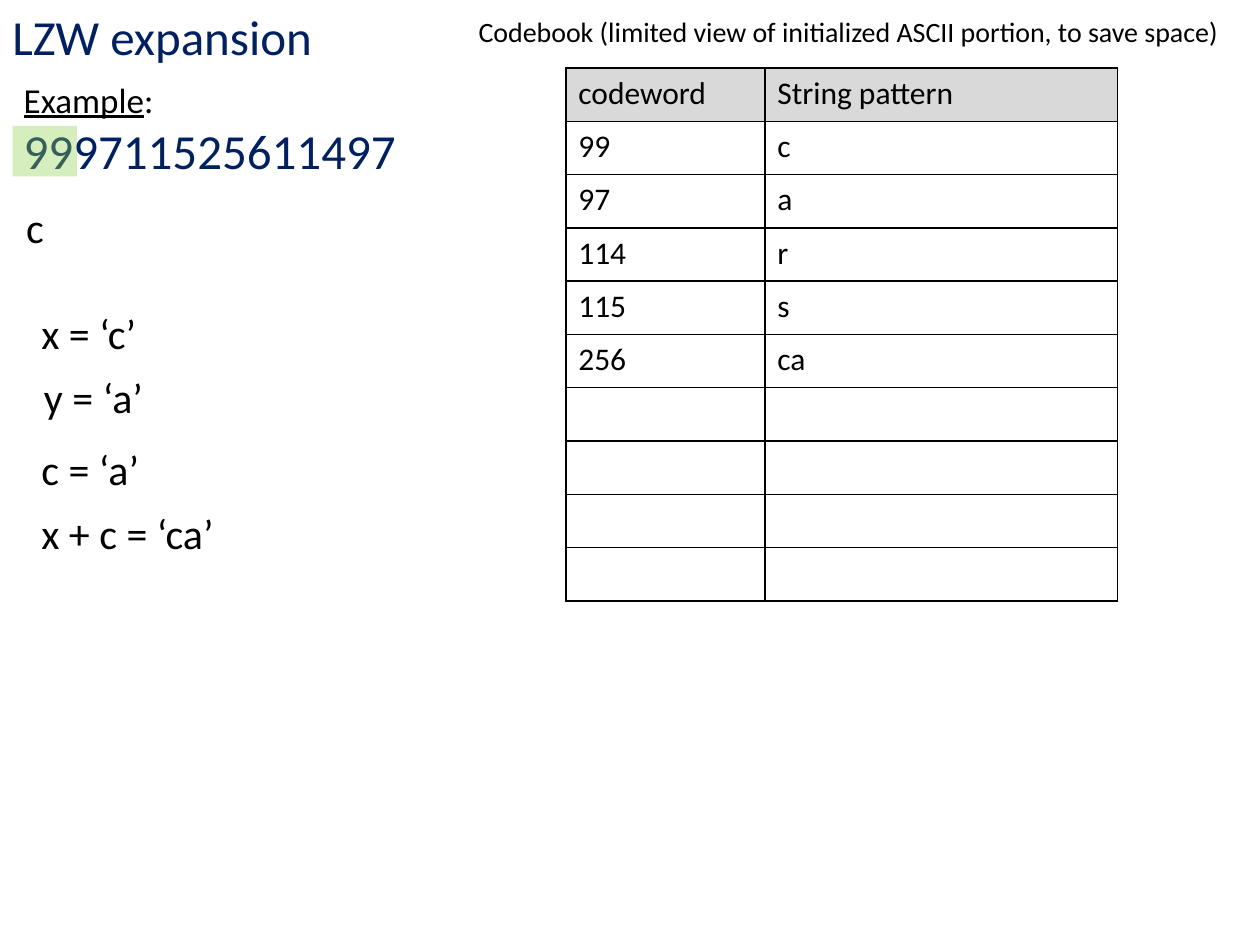
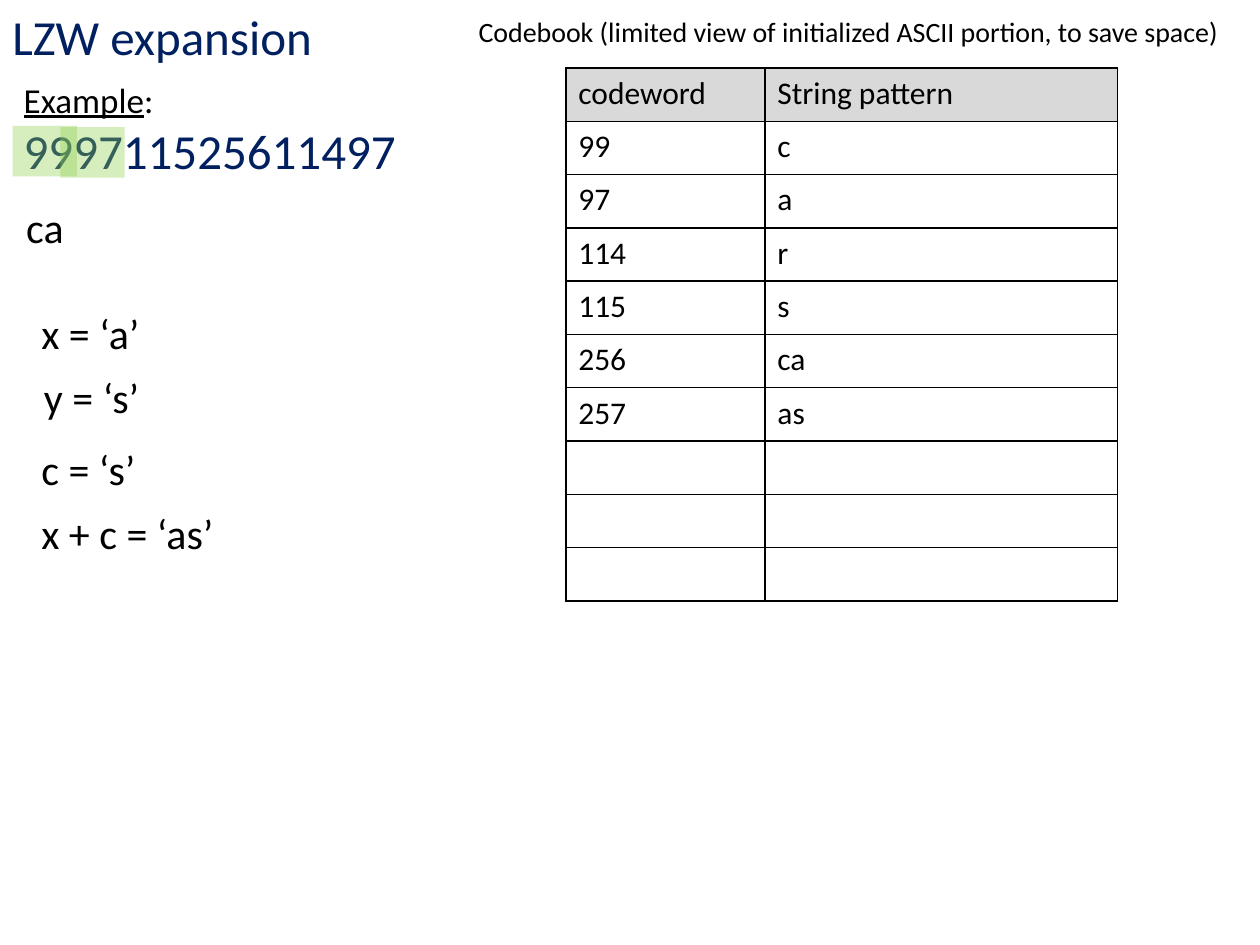
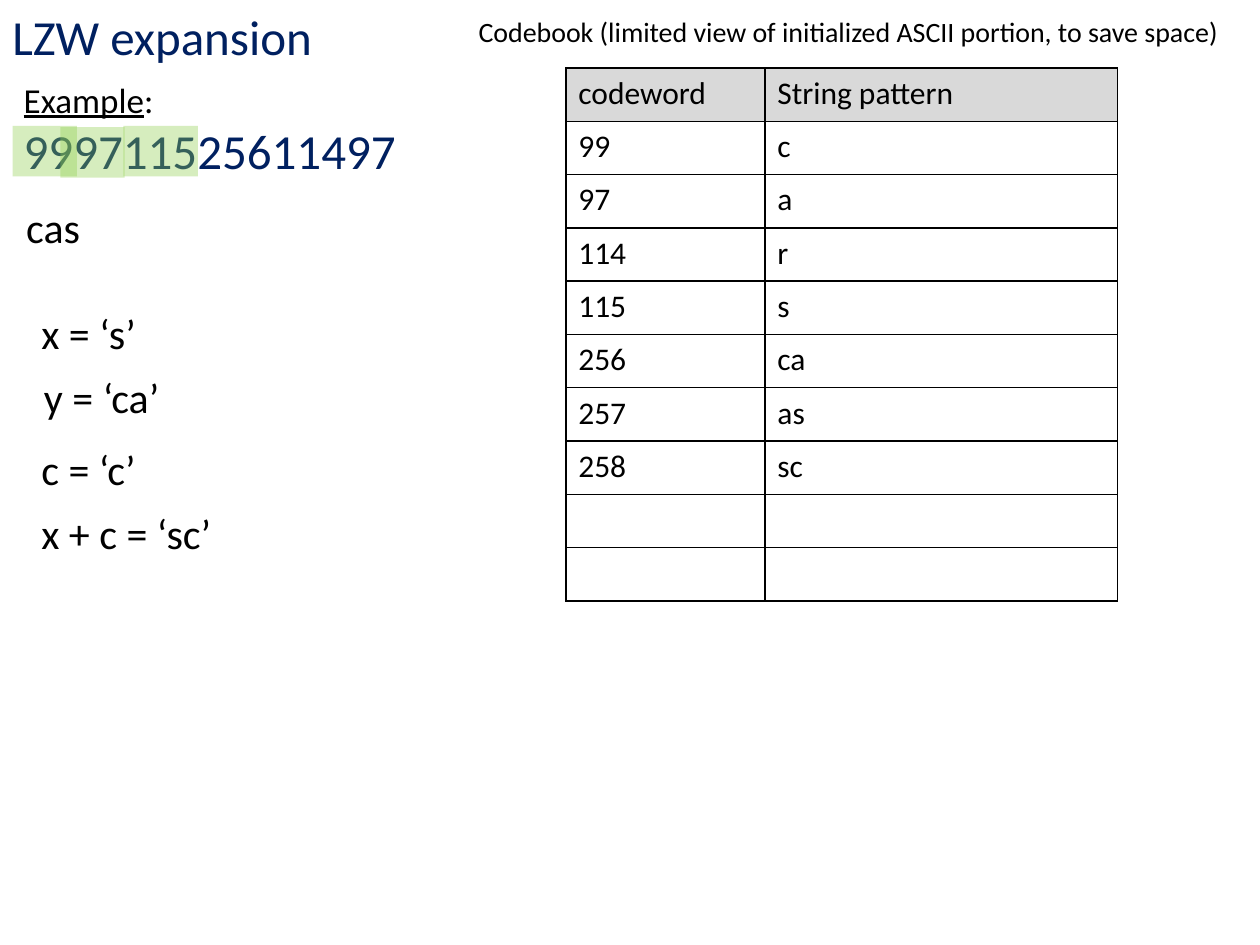
from lxml import etree
from pptx import Presentation
from pptx.dml.color import RGBColor
from pptx.enum.shapes import MSO_SHAPE
from pptx.enum.text import MSO_AUTO_SIZE
from pptx.oxml import parse_xml
from pptx.oxml.ns import nsdecls, qn
from pptx.util import Inches, Pt

NAVY = RGBColor(0x00, 0x20, 0x60)
BLACK = RGBColor(0x00, 0x00, 0x00)
GRAY = RGBColor(0xD9, 0xD9, 0xD9)
GREEN = RGBColor(0x92, 0xD0, 0x50)
FONT = "Calibri"

HEADER = ("codeword", "String pattern")
ASCII_ENTRIES = [("99", "c"), ("97", "a"), ("114", "r"), ("115", "s")]
FIRST_NEW_CODE = 256
TABLE_ROWS = 10
HIGHLIGHTS = [(0.1, 1, 0.51), (0.48, 1.01, 0.51), (0.98, 1, 0.59)]
STEPS = [("c", "a"), ("a", "s"), ("s", "ca")]
OUTPUT_WIDTHS = [0.49, 0.6, 0.7]


def add_run(p, text, size, color=BLACK, underline=None):
    r = p.add_run()
    r.text = text
    r.font.name = FONT
    r.font.size = Pt(size)
    r.font.color.rgb = color
    r.font.underline = underline


def add_text_frame(s, left, top, width, height):
    sp = s.shapes.add_textbox(Inches(left), Inches(top), Inches(width), Inches(height))
    tf = sp.text_frame
    tf.word_wrap = True
    tf.auto_size = MSO_AUTO_SIZE.SHAPE_TO_FIT_TEXT
    return tf


def add_label(s, text, left, top, width, height=0.5, size=24, color=BLACK):
    tf = add_text_frame(s, left, top, width, height)
    add_run(tf.paragraphs[0], text, size, color)


def add_example(s):
    tf = add_text_frame(s, -0.41, 0.57, 4.14, 1.25)
    heading, code = tf.paragraphs[0], tf.add_paragraph()
    for p in (heading, code):
        p.level = 1
        p._p.get_or_add_pPr().set("marL", str(Inches(0.5)))
    add_run(heading, "Example", 20, underline=True)
    add_run(heading, ":", 20, underline=False)
    add_run(code, "999711525611497", 28, NAVY)


def add_highlight(s, left, top, width):
    sp = s.shapes.add_shape(
        MSO_SHAPE.RECTANGLE, Inches(left), Inches(top), Inches(width), Inches(0.4))
    sp.shadow.inherit = False
    sp.line.fill.background()
    sp.fill.solid()
    sp.fill.fore_color.rgb = GREEN
    color = sp._element.spPr.find(qn("a:solidFill"))[0]
    etree.SubElement(color, qn("a:alpha"), val="37000")


def set_borders(cell):
    tc_pr = cell._tc.get_or_add_tcPr()
    for i, side in enumerate(("lnL", "lnR", "lnT", "lnB")):
        tc_pr.insert(i, parse_xml(
            f'<a:{side} {nsdecls("a")} w="{Pt(1)}"><a:solidFill>'
            f'<a:srgbClr val="{BLACK}"/></a:solidFill></a:{side}>'))


def add_codebook(s, entries):
    table = s.shapes.add_table(
        TABLE_ROWS, 2, Inches(4.49), Inches(0.54), Inches(4.38), Inches(4.23)).table
    table.first_row = table.horz_banding = False
    table.columns[0].width = Inches(1.58)
    table.columns[1].width = Inches(2.8)
    rows = [HEADER] + entries
    for i, row in enumerate(table.rows):
        for j, cell in enumerate(row.cells):
            if i == 0:
                cell.fill.solid()
                cell.fill.fore_color.rgb = GRAY
            else:
                cell.fill.background()
            set_borders(cell)
            if i < len(rows):
                add_run(cell.text_frame.paragraphs[0], rows[i][j], 18)


def add_variables(s, x, y):
    c = y[0]
    add_label(s, f"x = ‘{x}’", 0.23, 2.39, 1.86)
    add_label(s, f"y = ‘{y}’", 0.25, 2.9, 1.86)
    add_label(s, f"c = ‘{c}’", 0.23, 3.47, 1.86)
    add_label(s, f"x + c = ‘{x + c}’", 0.23, 3.98, 1.86)


def add_step_slide(prs, step):
    s = prs.slides.add_slide(prs.slide_layouts[6])
    done = STEPS[:step + 1]
    new_entries = [(str(FIRST_NEW_CODE + i), x + y[0]) for i, (x, y) in enumerate(done)]
    output = "".join(x for x, y in done)

    add_label(s, "LZW expansion", 0, 0, 8.9, 0.57, 28, NAVY)
    add_example(s)
    add_codebook(s, ASCII_ENTRIES + new_entries)
    add_label(s, "Codebook (limited view of initialized ASCII portion, to save space)",
              3.7, 0.07, 6.34, 0.37, 16)
    add_label(s, output, 0.11, 1.55, OUTPUT_WIDTHS[step])
    add_variables(s, *STEPS[step])
    for highlight in HIGHLIGHTS[:step + 1]:
        add_highlight(s, *highlight)


def main():
    prs = Presentation()
    prs.slide_width = Inches(10)
    prs.slide_height = Inches(7.5)
    for step in range(len(STEPS)):
        add_step_slide(prs, step)
    prs.save("out.pptx")


if __name__ == "__main__":
    main()
